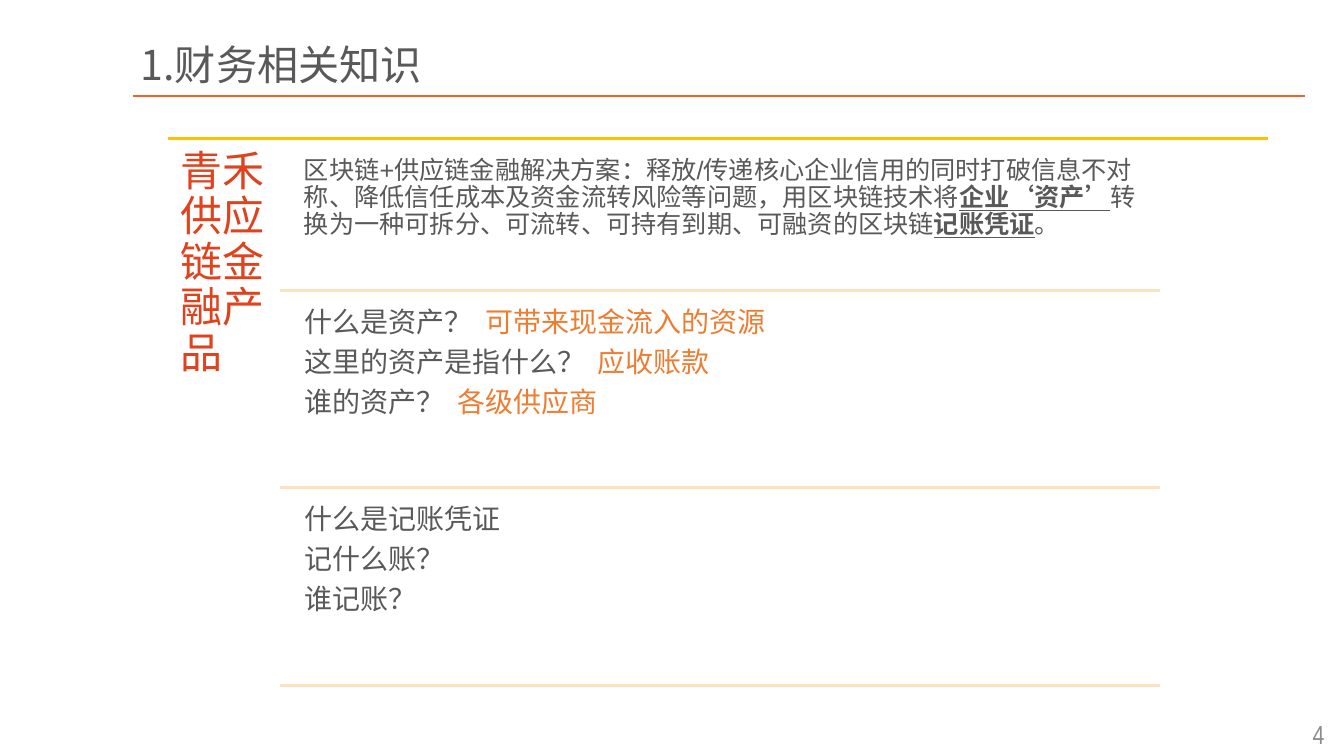
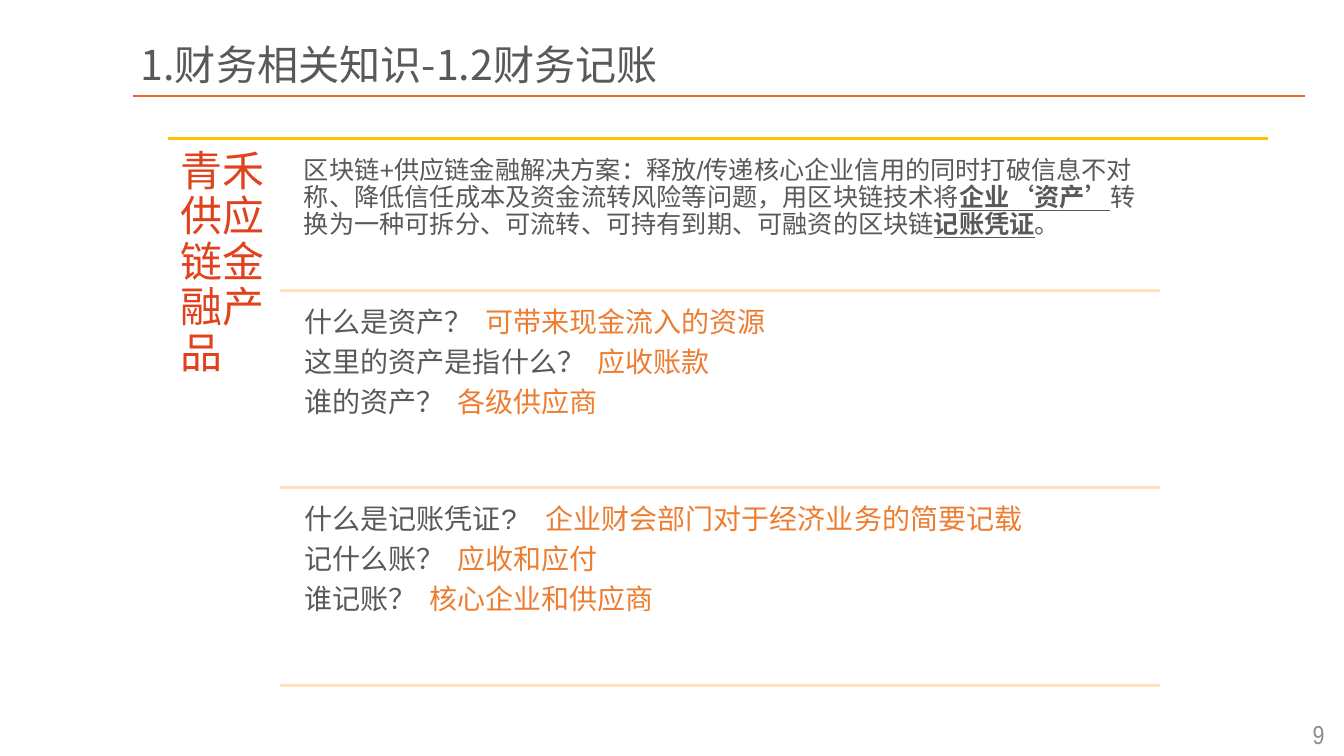
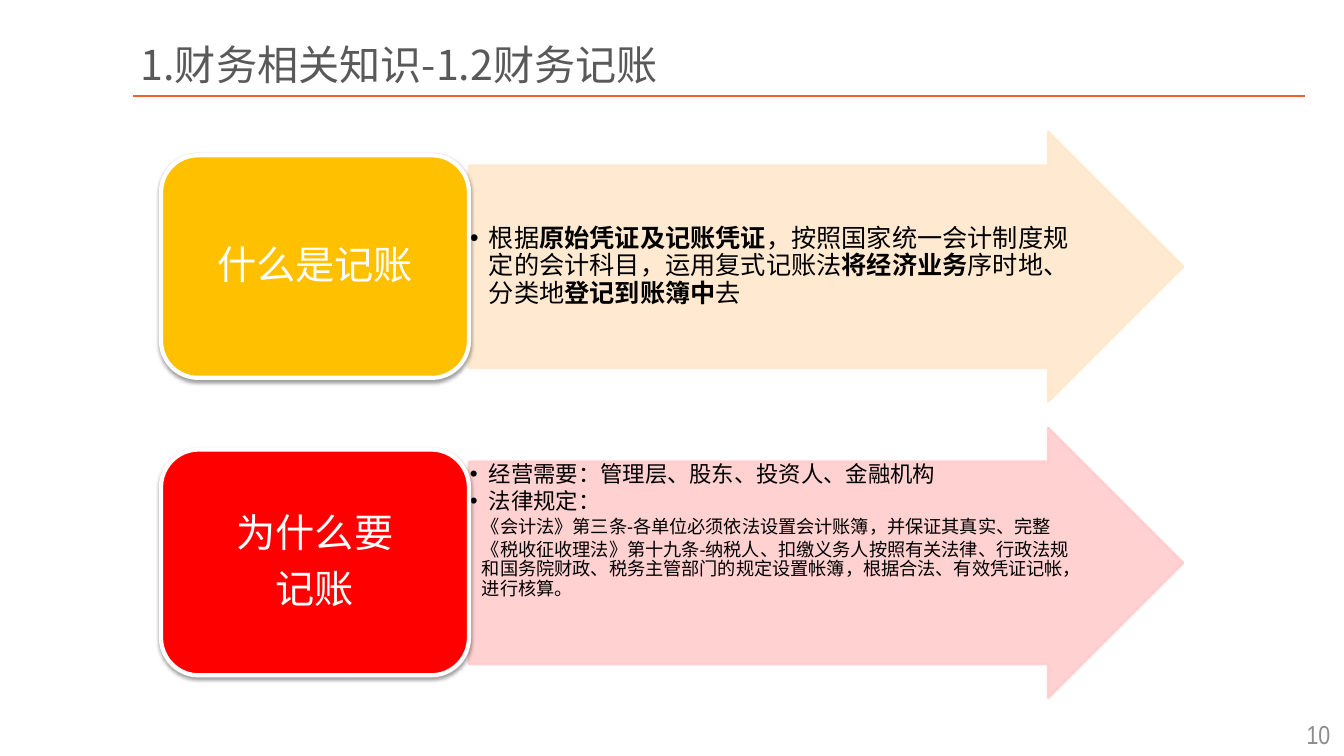
from dataclasses import dataclass

from lxml.etree import SubElement
from pptx import Presentation
from pptx.dml.color import RGBColor
from pptx.enum.lang import MSO_LANGUAGE_ID
from pptx.enum.shapes import MSO_CONNECTOR, MSO_SHAPE
from pptx.enum.text import MSO_ANCHOR, PP_ALIGN
from pptx.oxml.ns import qn
from pptx.util import Pt

WHITE = RGBColor(0xFF, 0xFF, 0xFF)
BLACK = RGBColor(0x00, 0x00, 0x00)
GREY = RGBColor(0x59, 0x59, 0x59)
PALE_GREY = RGBColor(0x8C, 0x8C, 0x8C)
TITLE_RULE = RGBColor(0xF0, 0x62, 0x2A)
GOLD = RGBColor(0xFF, 0xC0, 0x00)
RED = RGBColor(0xFF, 0x00, 0x00)
LABEL_RED = RGBColor(0xE0, 0x42, 0x1D)
ANSWER_ORANGE = RGBColor(0xED, 0x7D, 0x31)
DIVIDER = RGBColor(0xFF, 0xE2, 0xBD)
PALE_ORANGE = RGBColor(0xFF, 0xE8, 0xCC)
PALE_RED = RGBColor(0xFF, 0xCC, 0xCD)

BODY_FONT = "Arial"
TITLE_FONT = "Noto Sans CJK SC"
NUMBER_FONT = "Arial Narrow"
LINE_SPACING = 0.9
AFTER = 0.35
TIGHT_AFTER = 0.15
DIVIDER_TOP, DIVIDER_PITCH = 207.4, 141
ARROW_TOP, ARROW_PITCH = 94.3, 211.6


@dataclass(frozen=True)
class Span:
    text: str
    color: RGBColor = GREY
    strong: bool = False
    underline: bool = False


@dataclass(frozen=True)
class Para:
    spans: tuple[Span, ...]
    size: float
    font: str = BODY_FONT
    spacing: float | None = LINE_SPACING
    after: float = AFTER
    align: PP_ALIGN = PP_ALIGN.LEFT
    margin: float = 0
    bullet: bool = False
    tab: float = 0
    east_font: str = ""


@dataclass(frozen=True)
class Question:
    text: str
    answer: str = ""
    gap: float = 9


@dataclass(frozen=True)
class ArrowRow:
    heading: tuple[str, ...]
    color: RGBColor
    arrow_color: RGBColor
    card_top: float
    card_height: float
    paras: tuple[Para, ...]
    anchor: MSO_ANCHOR


def fill_frame(frame, paras, insets, anchor=MSO_ANCHOR.TOP) -> None:
    """Write paragraphs into a text frame; insets run left, top, right, bottom."""
    layout = {"word_wrap": True, "vertical_anchor": anchor}
    sides = ("margin_left", "margin_top", "margin_right", "margin_bottom")
    layout |= {side: Pt(inset) for side, inset in zip(sides, insets)}
    for name, value in layout.items():
        setattr(frame, name, value)
    for index, item in enumerate(paras):
        para = frame.paragraphs[0] if index == 0 else frame.add_paragraph()
        formats = {"alignment": item.align, "line_spacing": item.spacing,
                   "space_after": Pt(round(item.after * item.size, 2))}
        for name, value in formats.items():
            setattr(para, name, value)
        add_indent(para, item)
        for span in item.spans:
            add_span(para, span, item)


def add_indent(para, item: Para) -> None:
    """Apply the margin, bullet and tab stop of a paragraph."""
    properties = para._p.get_or_add_pPr()
    if item.margin:
        properties.set("marL", str(Pt(item.margin)))
    if item.bullet:
        properties.set("indent", str(-Pt(item.margin)))
        SubElement(properties, qn("a:buFont"), typeface="Arial")
        SubElement(properties, qn("a:buChar"), char="•")
    if item.tab:
        tabs = SubElement(properties, qn("a:tabLst"))
        SubElement(tabs, qn("a:tab"), pos=str(Pt(item.tab)), algn="l")


def add_span(para, span: Span, item: Para) -> None:
    run = para.add_run()
    run.text = span.text
    formats = {"name": item.font, "size": Pt(item.size), "bold": span.strong,
               "underline": span.underline,
               "language_id": MSO_LANGUAGE_ID.SIMPLIFIED_CHINESE}
    for name, value in formats.items():
        setattr(run.font, name, value)
    run.font.color.rgb = span.color
    SubElement(run.font._element, qn("a:ea"), typeface=item.east_font or item.font)


def add_text(page, area, paras, insets, anchor=MSO_ANCHOR.TOP) -> None:
    box = page.shapes.add_textbox(*map(Pt, area))
    fill_frame(box.text_frame, paras, insets, anchor)


def add_rule(page, left: float, right: float, top: float, color: RGBColor, width: float = 2) -> None:
    rule = page.shapes.add_connector(
        MSO_CONNECTOR.STRAIGHT, Pt(left), Pt(top), Pt(right), Pt(top))
    rule.line.color.rgb = color
    rule.line.width = Pt(width)
    SubElement(rule._element.spPr, qn("a:effectLst"))


def add_block(page, kind: MSO_SHAPE, area, fill: RGBColor, line: RGBColor, width: float):
    """Add a preset shape with a plain fill and outline."""
    block = page.shapes.add_shape(kind, *map(Pt, area))
    block.shadow.inherit = False
    block.fill.solid()
    block.fill.fore_color.rgb = fill
    block.line.color.rgb = line
    block.line.width = Pt(width)
    return block


def add_page(deck, title: str, number: int):
    """Add a blank page with the shared title, rule and page number."""
    page = deck.slides.add_slide(deck.slide_layouts[6])
    add_rule(page, 95, 932.4, 68.6, TITLE_RULE, 1.5)
    add_text(page, (95.4, 28.7, 619, 34.5),
             [Para((Span(title),), 29.4, TITLE_FONT, None, 0)],
             (5, 3, 5, 3), MSO_ANCHOR.MIDDLE)
    add_text(page, (922.3, 508.3, 39, 31.7),
             [Para((Span(str(number), PALE_GREY),), 18.6, NUMBER_FONT, None, 0, PP_ALIGN.CENTER)],
             (8, 4, 8, 4), MSO_ANCHOR.MIDDLE)
    return page


def question_para(question: Question, size: float = 20) -> Para:
    """Set the answer at a tab stop just after the full-width question."""
    spans = (Span(question.text),)
    if not question.answer:
        return Para(spans, size)
    spans += (Span("\t" + question.answer, ANSWER_ORANGE),)
    return Para(spans, size, tab=size * len(question.text) + question.gap)


def add_question_page(deck, title: str, number: int, groups) -> None:
    page = add_page(deck, title, number)
    add_rule(page, 119.8, 905.8, 98.8, GOLD)
    add_text(page, (120.2, 98.8, 80, 398),
             [Para((Span("青禾供应链金融产品", LABEL_RED),), 30)], (8.6,) * 4)
    add_text(page, (211.7, 105.1, 617, 102),
             [Para(SOLUTION, 18, spacing=Pt(19.6), east_font=TITLE_FONT)],
             (5.4, 6.8, 5.4, 5.4))
    for index in range(len(groups) + 1):
        add_rule(page, 199.8, 828.7, DIVIDER_TOP + index * DIVIDER_PITCH, DIVIDER)
    for index, questions in enumerate(groups):
        top = DIVIDER_TOP + index * DIVIDER_PITCH + 6.8
        add_text(page, (211.7, top, 620, 134),
                 [question_para(question) for question in questions], (6,) * 4)


def add_arrow_row(page, row: ArrowRow, index: int) -> None:
    top = ARROW_TOP + index * ARROW_PITCH
    arrow = add_block(page, MSO_SHAPE.RIGHT_ARROW, (335, top, 510, 192.4),
                      row.arrow_color, row.arrow_color, 2)
    arrow.adjustments[0], arrow.adjustments[1] = 0.75, 0.5
    for color in arrow._element.spPr.iter(qn("a:srgbClr")):
        SubElement(color, qn("a:alpha"), val="90000")
    add_text(page, (335, top + 24, 438, 144.4), row.paras, (0.7,) * 4, row.anchor)

    card = add_block(page, MSO_SHAPE.ROUNDED_RECTANGLE,
                     (115, row.card_top, 220, row.card_height), row.color, WHITE, 3)
    shadow = SubElement(card._element.spPr.find(qn("a:effectLst")), qn("a:outerShdw"),
                        blurRad=str(Pt(3.1)), dist=str(Pt(1.6)), dir="5400000", rotWithShape="0")
    shade = SubElement(shadow, qn("a:srgbClr"), val=str(BLACK))
    SubElement(shade, qn("a:alpha"), val="38000")
    fill_frame(card.text_frame,
               [Para((Span(text, WHITE),), 28, align=PP_ALIGN.CENTER) for text in row.heading],
               (8.6, 4.3, 8.6, 4.3), MSO_ANCHOR.MIDDLE)


def bullet_para(size: float, *spans: Span) -> Para:
    return Para(spans, size, after=TIGHT_AFTER, margin=13.5, bullet=True)


def law_para(text: str) -> Para:
    return Para((Span(text, BLACK),), 13, after=TIGHT_AFTER, margin=8.6)


SOLUTION = (
    Span("区块链+供应链金融解决方案：释放/传递核心企业信用的同时打破信息不对称、"
         "降低信任成本及资金流转风险等问题，用区块链技术将"),
    Span("企业‘资产’", strong=True, underline=True),
    Span("转换为一种可拆分、可流转、可持有到期、可融资的区块链"),
    Span("记账凭证", strong=True, underline=True),
    Span("。"),
)
ASSETS = (
    Question("什么是资产？", "可带来现金流入的资源"),
    Question("这里的资产是指什么？", "应收账款"),
    Question("谁的资产？", "各级供应商"),
)
OPEN_VOUCHERS = (Question("什么是记账凭证"), Question("记什么账？"), Question("谁记账？"))
VOUCHERS = (
    Question("什么是记账凭证?", "企业财会部门对于经济业务的简要记载", 12),
    Question("记什么账？", "应收和应付"),
    Question("谁记账？", "核心企业和供应商"),
)
ARROW_ROWS = (
    ArrowRow(("什么是记账",), GOLD, PALE_ORANGE, 110.9, 159, (
        bullet_para(
            18,
            Span("根据", BLACK),
            Span("原始凭证及记账凭证", BLACK, True),
            Span("，按照国家统一会计制度规定的会计科目，运用复式记账法", BLACK),
            Span("将经济业务", BLACK, True),
            Span("序时地、分类地", BLACK),
            Span("登记到账簿中", BLACK, True),
            Span("去", BLACK)),
    ), MSO_ANCHOR.MIDDLE),
    ArrowRow(("为什么要", "记账"), RED, PALE_RED, 321.1, 161.3, (
        bullet_para(16, Span("经营需要：管理层、股东、投资人、金融机构", BLACK)),
        bullet_para(16, Span("法律规定：", BLACK)),
        law_para("《会计法》第三条-各单位必须依法设置会计账簿，并保证其真实、完整"),
        law_para("《税收征收理法》第十九条-纳税人、扣缴义务人按照有关法律、行政法规和国务院财政、"
                 "税务主管部门的规定设置帐簿，根据合法、有效凭证记帐，进行核算。"),
    ), MSO_ANCHOR.TOP),
)
TOPIC = "1.财务相关知识"
BOOKKEEPING = TOPIC + "-1.2财务记账"


def main() -> None:
    deck = Presentation()
    deck.slide_width, deck.slide_height = Pt(960), Pt(540)
    add_question_page(deck, TOPIC, 4, (ASSETS, OPEN_VOUCHERS))
    add_question_page(deck, BOOKKEEPING, 9, (ASSETS, VOUCHERS))
    page = add_page(deck, BOOKKEEPING, 10)
    for index, row in enumerate(ARROW_ROWS):
        add_arrow_row(page, row, index)
    deck.save("out.pptx")


if __name__ == "__main__":
    main()
